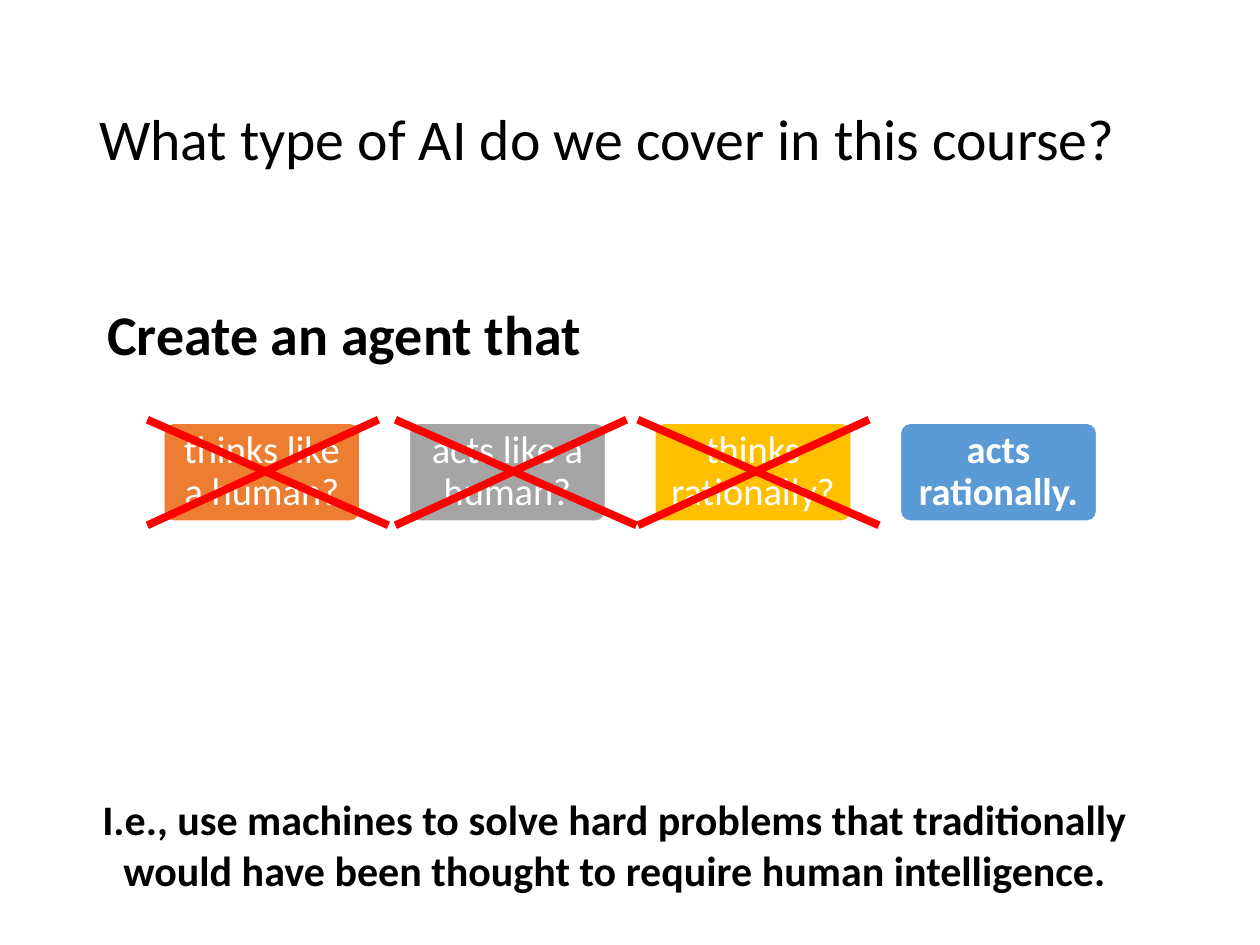
from dataclasses import dataclass

from lxml import etree
from pptx import Presentation
from pptx import util as u
from pptx.dml import color as c
from pptx.enum import shapes, text
from pptx.oxml import ns


@dataclass(frozen=True)
class Theme:
    font: str = "Calibri"
    ink: str = "000000"
    paper: str = "FFFFFF"
    strike: str = "FF0000"
    orange: str = "ED7D31"
    grey: str = "A5A5A5"
    gold: str = "FFC000"
    blue: str = "5B9BD5"
    title_size: float = 33
    lead_size: float = 32
    summary_size: float = 24
    card_size: float = 22
    outline: float = 1
    strike_width: float = 4.5


class SlideBuilder:
    def __init__(self, slide, theme):
        self.slide = slide
        self.theme = theme

    def add_wording(self, frame, wording, size, color, bold=False, align=None,
                    spacing=None):
        """Fill the frame's first paragraph and return that paragraph."""
        paragraph = frame.paragraphs[0]
        paragraph.alignment = align
        paragraph.line_spacing = spacing
        run = paragraph.add_run()
        run.text = wording
        run.font.name = self.theme.font
        run.font.size = u.Pt(size)
        run.font.bold = bold
        run.font.color.rgb = c.RGBColor.from_string(color)
        return paragraph

    def text_box(self, box, wording, size, wrap=True, anchor=text.MSO_ANCHOR.TOP,
                 indent=0, **style):
        frame = self.slide.shapes.add_textbox(*map(u.Cm, box)).text_frame
        frame.word_wrap = wrap
        frame.vertical_anchor = anchor
        paragraph = self.add_wording(frame, wording, size, self.theme.ink, **style)
        if indent:
            paragraph._p.get_or_add_pPr().set("marL", str(int(u.Cm(indent))))

    def card(self, box, wording, fill, bold=False):
        card = self.slide.shapes.add_shape(
            shapes.MSO_SHAPE.ROUNDED_RECTANGLE, *map(u.Cm, box))
        card.adjustments[0] = 0.1
        card.shadow.inherit = False
        card.fill.solid()
        card.fill.fore_color.rgb = c.RGBColor.from_string(fill)
        card.line.color.rgb = c.RGBColor.from_string(self.theme.paper)
        card.line.width = u.Pt(self.theme.outline)
        frame = card.text_frame
        frame.word_wrap = True
        frame.vertical_anchor = text.MSO_ANCHOR.MIDDLE
        frame.margin_left = frame.margin_right = u.Cm(0.13)
        frame.margin_top = frame.margin_bottom = u.Cm(0.08)
        self.add_wording(frame, wording, self.theme.card_size, self.theme.paper,
                         bold, text.PP_ALIGN.CENTER, 0.9)

    def stroke(self, *ends):
        stroke = self.slide.shapes.add_connector(
            shapes.MSO_CONNECTOR.STRAIGHT, *map(u.Cm, ends))
        stroke.line.color.rgb = c.RGBColor.from_string(self.theme.strike)
        stroke.line.width = u.Pt(self.theme.strike_width)
        etree.SubElement(stroke._element.spPr, ns.qn("a:effectLst"))

    def cross(self, left, top, bottom):
        self.stroke(left, top, left + 4.86, bottom)
        self.stroke(left, bottom, left + 4.66, top)


def main():
    deck = Presentation()
    deck.slide_width, deck.slide_height = u.Cm(25.4), u.Cm(19.05)
    theme = Theme()
    builder = SlideBuilder(deck.slides.add_slide(deck.slide_layouts[6]), theme)

    builder.text_box((1.75, 1.02, 21.9, 3.68),
                     "What type of AI do we cover in this course?",
                     theme.title_size, anchor=text.MSO_ANCHOR.MIDDLE, spacing=0.9)

    goals = [
        ("thinks like a human?", theme.orange),
        ("acts like a human?", theme.grey),
        ("thinks rationally?", theme.gold),
        ("acts rationally.", theme.blue),
    ]
    chosen = len(goals) - 1
    for column, (goal, fill) in enumerate(goals):
        builder.card((3.3 + 4.95 * column, 8.53, 3.96, 1.98), goal, fill,
                     bold=column == chosen)

    builder.text_box((0.64, 5.92, 11.43, 1.63), "Create an agent that",
                     theme.lead_size, wrap=False, indent=1.27, bold=True)
    builder.text_box((0.64, 15.88, 23.5, 2.31),
                     "I.e., use machines to solve hard problems that traditionally "
                     "would have been thought to require human intelligence.",
                     theme.summary_size, bold=True, align=text.PP_ALIGN.CENTER)

    for left in (2.97, 7.97, 12.86):
        builder.cross(left, 8.46, 10.59)

    deck.save("out.pptx")


if __name__ == "__main__":
    main()
